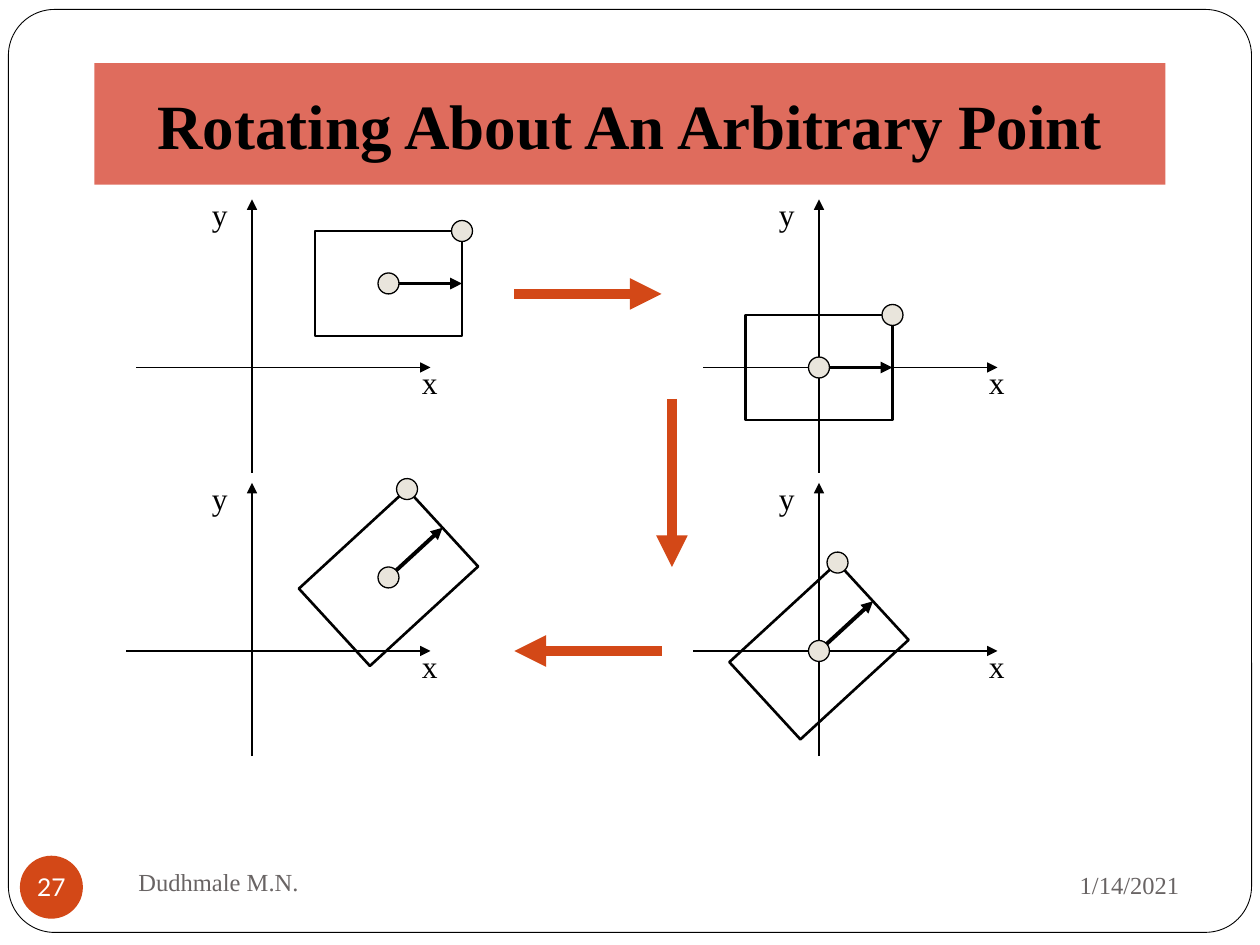
import math
from dataclasses import dataclass

import pptx
import pptx.dml.color
import pptx.enum.shapes
import pptx.enum.text
import pptx.oxml
import pptx.oxml.ns
import pptx.util

PX = 7620  # EMU per px, 120 px to the inch
SERIF = "Times New Roman"
BLACK, WHITE, ORANGE, GREY = "000000", "FFFFFF", "D34817", "696464"
MARKER = "E9E5DC"
BOX_W, BOX_H, MARKER_SIZE = 140, 100, 20

SHAPE = pptx.enum.shapes.MSO_SHAPE
ALIGN = pptx.enum.text.PP_ALIGN
ANCHOR = pptx.enum.text.MSO_ANCHOR


@dataclass
class Stage:
    """One coordinate system with the box; angle is clockwise degrees."""
    origin: tuple[int, int]
    box_center: tuple[int, int]
    angle: float
    x_axis_start: int


@dataclass
class Step:
    start: tuple[int, int]
    end: tuple[int, int]


STAGES = [
    Stage((240, 350), (370, 270), 0, -110),
    Stage((780, 350), (780, 350), 0, -110),
    Stage((780, 620), (780, 620), -42.6, -120),
    Stage((240, 620), (370, 550), -42.6, -120),
]
STEPS = [
    Step((490, 280), (630, 280)),
    Step((640, 380), (640, 540)),
    Step((630, 620), (490, 620)),
]


def emu(px: float) -> int:
    return round(px * PX)


def color(value: str) -> pptx.dml.color.RGBColor:
    return pptx.dml.color.RGBColor.from_string(value)


def add_shape(slide, kind, left: float, top: float, width: int, height: int,
              fill: str | None = None, line: str | None = None,
              weight: float = 1, angle: float = 0):
    shape = slide.shapes.add_shape(kind, emu(left), emu(top), emu(width), emu(height))
    shape.shadow.inherit = False
    shape.rotation = angle
    if fill:
        shape.fill.solid()
        shape.fill.fore_color.rgb = color(fill)
    else:
        shape.fill.background()
    if line:
        shape.line.color.rgb = color(line)
        shape.line.width = pptx.util.Pt(weight)
    else:
        shape.line.fill.background()
    return shape


def add_arrow(slide, start, end, weight: float, line: str = BLACK) -> None:
    arrow = slide.shapes.add_connector(
        pptx.enum.shapes.MSO_CONNECTOR.STRAIGHT,
        emu(start[0]), emu(start[1]), emu(end[0]), emu(end[1]))
    arrow.line.color.rgb = color(line)
    arrow.line.width = pptx.util.Pt(weight)
    head = pptx.oxml.parse_xml(
        f'<a:tailEnd {pptx.oxml.ns.nsdecls("a")} type="triangle"/>')
    arrow.line._get_or_add_ln().append(head)
    arrow._element.spPr.append(
        pptx.oxml.parse_xml(f'<a:effectLst {pptx.oxml.ns.nsdecls("a")}/>'))


def write(shape, text: str, size: int, ink: str = BLACK, align=ALIGN.LEFT,
          anchor=ANCHOR.MIDDLE, font: str = SERIF, bold: bool = False,
          wrap: bool = True) -> None:
    frame = shape.text_frame
    frame.word_wrap = wrap
    frame.vertical_anchor = anchor
    paragraph = frame.paragraphs[0]
    paragraph.text = text
    paragraph.alignment = align
    paragraph.font.name = font
    paragraph.font.size = pptx.util.Pt(size)
    paragraph.font.bold = bold
    paragraph.font.color.rgb = color(ink)


def add_text(slide, left: int, top: int, width: int, height: int, text: str,
             size: int, **style):
    label = slide.shapes.add_textbox(emu(left), emu(top), emu(width), emu(height))
    write(label, text, size, **style)
    return label


def draw_stage(slide, stage: Stage) -> None:
    x, y = stage.origin
    center_x, center_y = stage.box_center
    turn = math.radians(stage.angle)

    def rotated(dx: float, dy: float) -> tuple[float, float]:
        return (center_x + dx * math.cos(turn) - dy * math.sin(turn),
                center_y + dx * math.sin(turn) + dy * math.cos(turn))

    # Axes and their names
    add_arrow(slide, (x, y + 100), (x, y - 160), 1)
    add_arrow(slide, (x + stage.x_axis_start, y), (x + 170, y), 1)
    for name, dx, dy in (("x", 150, -10), ("y", -50, -170)):
        label = add_text(slide, x + dx, y + dy, 44, 60, name, 18,
                         anchor=ANCHOR.TOP, wrap=False)
        label.text_frame.auto_size = pptx.enum.text.MSO_AUTO_SIZE.SHAPE_TO_FIT_TEXT

    # Box, with markers at its centre and corner
    add_shape(slide, SHAPE.RECTANGLE, center_x - BOX_W / 2, center_y - BOX_H / 2,
              BOX_W, BOX_H, line=BLACK, weight=1.5, angle=stage.angle)
    for mark_x, mark_y in (rotated(0, 0), rotated(BOX_W / 2, -BOX_H / 2)):
        add_shape(slide, SHAPE.OVAL, mark_x - MARKER_SIZE / 2, mark_y - MARKER_SIZE / 2,
                  MARKER_SIZE, MARKER_SIZE, MARKER, BLACK, 0.75, stage.angle)
    add_arrow(slide, rotated(MARKER_SIZE / 2, 0), rotated(BOX_W / 2, 0), 2.25)


def main() -> None:
    deck = pptx.Presentation()
    deck.slide_width, deck.slide_height = emu(1200), emu(900)
    slide = deck.slides.add_slide(deck.slide_layouts[6])

    # Page frame and title
    page_frame = add_shape(slide, SHAPE.ROUNDED_RECTANGLE, 8, 9, 1184, 879,
                           WHITE, BLACK, 0.5)
    page_frame.adjustments[0] = 0.05
    title = add_shape(slide, SHAPE.RECTANGLE, 90, 60, 1020, 116, "DF6C5D")
    write(title, "Rotating About An Arbitrary Point", 36, align=ALIGN.CENTER, bold=True)

    # Stages of the rotation and the steps between them
    for stage in STAGES:
        draw_stage(slide, stage)
    for step in STEPS:
        add_arrow(slide, step.start, step.end, 6, ORANGE)

    # Footer
    add_text(slide, 810, 812, 325, 62, "1/14/2021", 14, ink=GREY, align=ALIGN.RIGHT)
    add_text(slide, 120, 810, 520, 60, "Dudhmale M.N.", 14, ink=GREY)
    page_number = add_shape(slide, SHAPE.OVAL, 19, 815, 60, 60, ORANGE)
    write(page_number, "27", 14, WHITE, ALIGN.CENTER, font="Lato", wrap=False)
    inset = page_number.text_frame
    inset.margin_left = inset.margin_right = inset.margin_top = inset.margin_bottom = 0

    deck.save("out.pptx")


if __name__ == "__main__":
    main()
